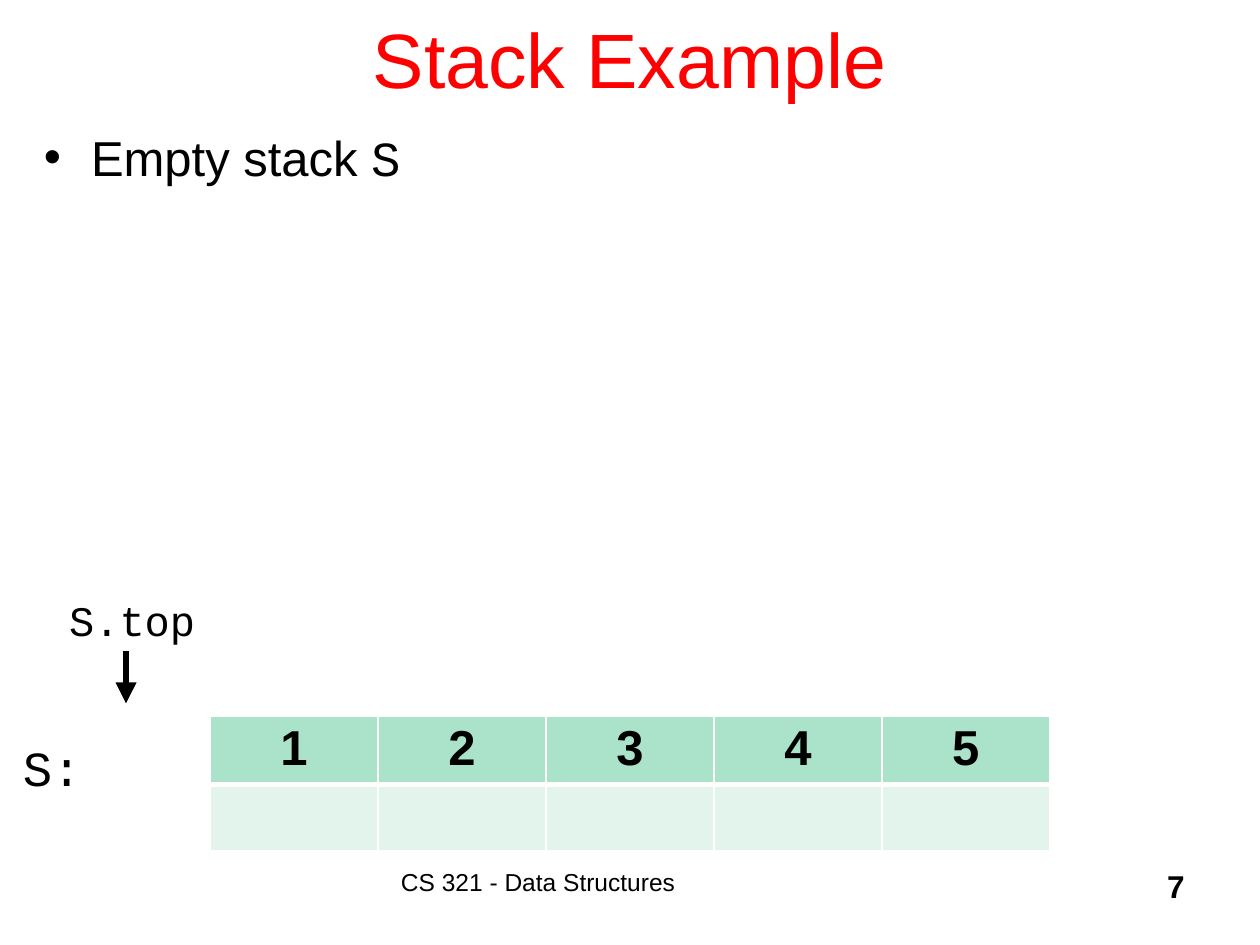
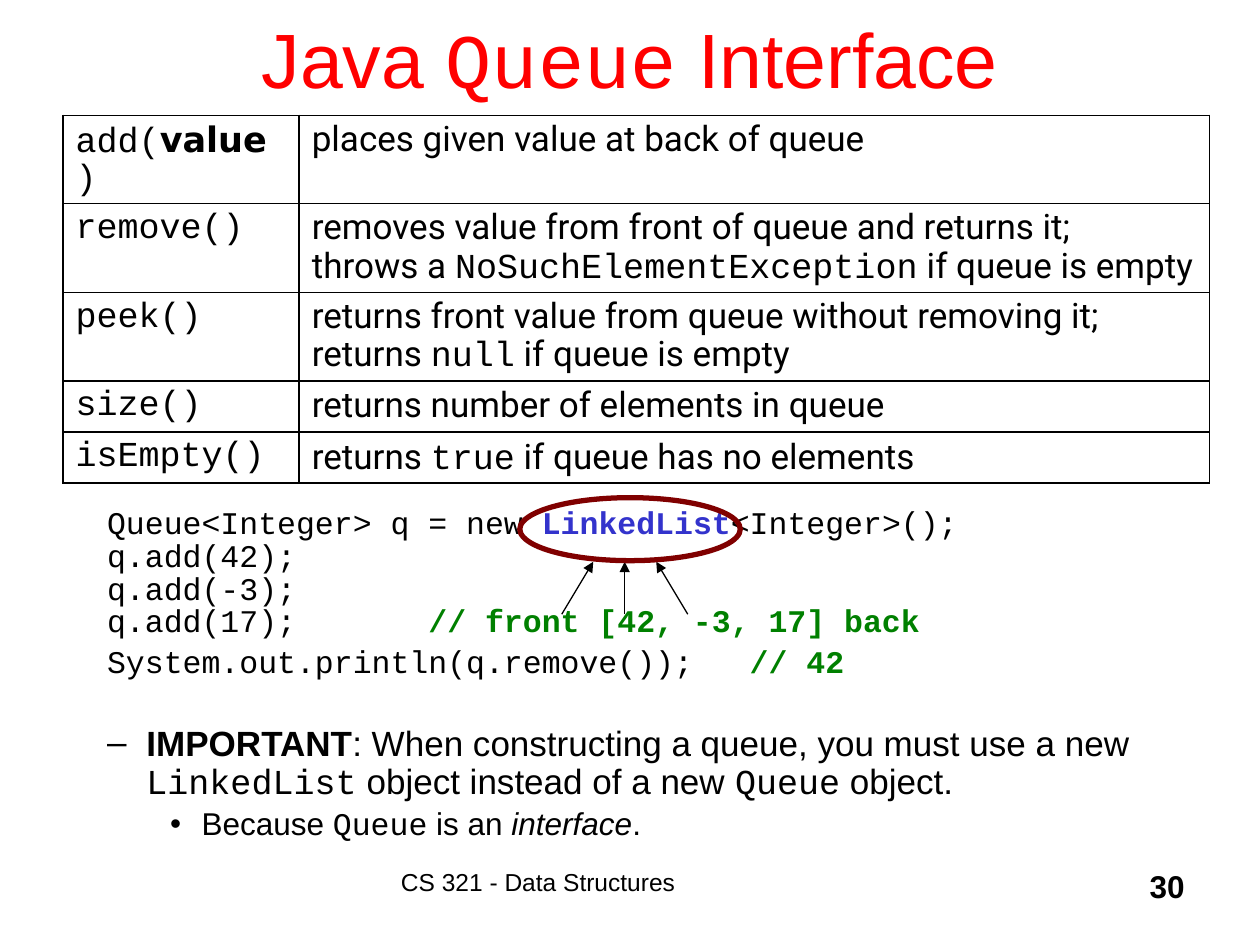
from dataclasses import dataclass

from lxml import etree
from pptx import Presentation, util as u
from pptx.dml.color import RGBColor
from pptx.enum import shapes, text
from pptx.oxml.ns import qn


@dataclass(frozen=True)
class Theme:
    title: str = "FF0000"
    ink: str = "000000"
    paper: str = "FFFFFF"
    header: str = "AAE2CA"
    cell: str = "E2F4EC"
    keyword: str = "3333CC"
    comment: str = "008000"
    ring: str = "800000"
    sans: str = "Arial"
    code: str = "Courier New"
    argument: str = "DejaVu Sans"
    prose: str = "Roboto"
    title_size: int = 44
    large: int = 28
    label: int = 24
    medium: int = 20
    small: int = 18
    footer: int = 14


theme = Theme()
deck = Presentation()
deck.slide_width, deck.slide_height = u.Inches(10), u.Inches(7.5)
UNIT = deck.slide_width / 120
LEFT, CENTER, RIGHT = text.PP_ALIGN.LEFT, text.PP_ALIGN.CENTER, text.PP_ALIGN.RIGHT


def place(page, area, insets=(1.2, 0.6), anchor=text.MSO_ANCHOR.TOP):
    box = page.shapes.add_textbox(*[round(length * UNIT) for length in area])
    frame = box.text_frame
    frame.word_wrap = True
    frame.vertical_anchor = anchor
    frame.margin_left, frame.margin_top = [round(inset * UNIT) for inset in insets]
    return frame


def write(para, spans, size, color=theme.ink, align=LEFT, spacing=None, before=0):
    para.alignment = align
    para.line_spacing = spacing
    para.space_before = u.Pt(before)
    for words, font, *style in spans:
        span = para.add_run()
        span.text = words
        span.font.name = font
        span.font.size = u.Pt(size)
        span.font.bold = "bold" in style
        span.font.italic = "italic" in style
        tint = next((item for item in style if item not in ("bold", "italic")), color)
        span.font.color.rgb = RGBColor.from_string(tint)


titles = [
    [("Stack Example", theme.sans)],
    [("Java ", theme.sans), ("Queue", theme.code), (" Interface", theme.sans)],
]
pages = []
for title, number in zip(titles, ("7", "30")):
    page = deck.slides.add_slide(deck.slide_layouts[6])
    pages.append(page)
    frame = place(page, (9, -2, 102, 15), anchor=text.MSO_ANCHOR.MIDDLE)
    write(frame.paragraphs[0], title, theme.title_size, theme.title, CENTER)
    frame = place(page, (37, 82, 46, 6))
    write(frame.paragraphs[0], [("CS 321 - Data Structures", theme.sans)], theme.footer)
    frame = place(page, (89, 82, 25, 6))
    write(frame.paragraphs[0], [(number, theme.sans, "bold")], theme.small, align=RIGHT)
stack_page, queue_page = pages

stack_labels = [
    ((5.4, 56, 15, 6), "S.top", theme.label),
    ((1, 69.6, 9, 6.8), "S:", theme.large),
]
for area, label, size in stack_labels:
    frame = place(stack_page, area)
    write(frame.paragraphs[0], [(label, theme.code)], size)

stack_lines = [
    ([("Empty stack ", theme.sans), ("S", theme.code)],
     dict(size=theme.large), ("•", 4.5, 4.5)),
]
code_style = dict(size=theme.small, spacing=0.7, before=3.6)
queue_lines = [
    ([("Queue<Integer> q = new ", theme.code),
      ("LinkedList", theme.code, "bold", theme.keyword),
      ("<Integer>();", theme.code)], dict(code_style, before=0), None),
    ([("q.add(42);", theme.code)], code_style, None),
    ([("q.add(-3);", theme.code)], code_style, None),
    ([("q.add(17);\t", theme.code),
      ("// front [42, -3, 17] back", theme.code, "bold", theme.comment)],
     code_style, 30.6),
    ([("System.out.println(q.remove());\t", theme.code),
      ("// 42", theme.code, "bold", theme.comment)],
     dict(code_style, before=8.2), 61.2),
    ([("IMPORTANT", theme.sans, "bold"),
      (": When constructing a queue, you must use a new ", theme.sans),
      ("LinkedList", theme.code), (" object instead of a new ", theme.sans),
      ("Queue", theme.code), (" object.", theme.sans)],
     dict(size=theme.medium, spacing=0.9, before=27), ("–", 3.75, 3.75)),
    ([("Because ", theme.sans), ("Queue", theme.code), (" is an ", theme.sans),
      ("interface", theme.sans, "italic"), (".", theme.sans)],
     dict(size=theme.small, spacing=0.9, before=3.6), ("•", 9, 3)),
]
bodies = [
    (stack_page, (3, 11, 114, 67), (1.2, 1.1), stack_lines),
    (queue_page, (3, 5, 114, 72), (7.2, 43.9), queue_lines),
]
for page, area, insets, lines in bodies:
    frame = place(page, area, insets)
    for index, (spans, style, lead) in enumerate(lines):
        para = frame.add_paragraph() if index else frame.paragraphs[0]
        write(para, spans, **style)
        props = para._p.get_or_add_pPr()
        if isinstance(lead, tuple):
            bullet, margin, hang = lead
            props.set("marL", str(round(margin * UNIT)))
            props.set("indent", str(round(-hang * UNIT)))
            etree.SubElement(props, qn("a:buFont"), typeface=theme.sans)
            etree.SubElement(props, qn("a:buChar"), char=bullet)
        elif lead:
            stops = etree.SubElement(props, qn("a:tabLst"))
            etree.SubElement(stops, qn("a:tab"), pos=str(round(lead * UNIT)), algn="l")

stack_cells = [
    [[[(str(slot), theme.sans, "bold")]] for slot in range(1, 6)],
    [[] for slot in range(5)],
]
queue_cells = [
    [[[("add(", theme.code), ("value", theme.argument, "bold"), (")", theme.code)]],
     [[("places given value at back of queue", theme.prose)]]],
    [[[("remove()", theme.code)]],
     [[("removes value from front of queue and returns it;", theme.prose)],
      [("throws a ", theme.prose), ("NoSuchElementException", theme.code),
       (" if queue is empty", theme.prose)]]],
    [[[("peek()", theme.code)]],
     [[("returns front value from queue without removing it;", theme.prose)],
      [("returns ", theme.prose), ("null", theme.code),
       (" if queue is empty", theme.prose)]]],
    [[[("size()", theme.code)]],
     [[("returns number of elements in queue", theme.prose)]]],
    [[[("isEmpty()", theme.code)]],
     [[("returns ", theme.prose), ("true", theme.code),
       (" if queue has no elements", theme.prose)]]],
]
tables = [
    (stack_page, (20, 68.2), [16] * 5, [6.36] * 2, stack_cells,
     dict(size=theme.large, align=CENTER), (theme.header, theme.cell),
     theme.paper, 3, 0.45),
    (queue_page, (6, 11), [22.5, 86.7], [8.3, 8.45, 8.45, 4.85, 4.85], queue_cells,
     dict(size=theme.medium, spacing=0.9), None, theme.ink, 1, 0.6),
]
for page, corner, columns, rows, cells, style, fills, rule, header_rule, inset in tables:
    area = [round(n * UNIT) for n in (*corner, sum(columns), sum(rows))]
    table = page.shapes.add_table(len(rows), len(columns), *area).table
    for column, width in zip(table.columns, columns):
        column.width = round(width * UNIT)
    for r, height in enumerate(rows):
        table.rows[r].height = round(height * UNIT)
        for c, paras in enumerate(cells[r]):
            cell = table.cell(r, c)
            cell.margin_top = cell.margin_bottom = round(inset * UNIT)
            for index, spans in enumerate(paras):
                frame = cell.text_frame
                para = frame.add_paragraph() if index else frame.paragraphs[0]
                write(para, spans, **style)
            props = cell._tc.get_or_add_tcPr()
            for side in ("lnL", "lnR", "lnT", "lnB"):
                under_header = (r, side) in ((0, "lnB"), (1, "lnT"))
                weight = u.Pt(header_rule if under_header else 1)
                border = etree.SubElement(props, qn("a:" + side), w=str(weight))
                solid = etree.SubElement(border, qn("a:solidFill"))
                etree.SubElement(solid, qn("a:srgbClr"), val=rule)
            if fills:
                cell.fill.solid()
                cell.fill.fore_color.rgb = RGBColor.from_string(fills[r])
            else:
                cell.fill.background()

arrows = [(stack_page, (12, 62, 12, 67), 4)]
arrows += [(queue_page, (59.5 + 6 * step, 58.5, 59.5 + 3 * step, 53.5), 0.75)
           for step in (-1, 0, 1)]
for page, ends, weight in arrows:
    arrow = page.shapes.add_connector(
        shapes.MSO_CONNECTOR.STRAIGHT, *[round(end * UNIT) for end in ends])
    arrow.line.color.rgb = RGBColor.from_string(theme.ink)
    arrow.line.width = u.Pt(weight)
    etree.SubElement(arrow.line._get_or_add_ln(), qn("a:tailEnd"), type="triangle")
    etree.SubElement(arrow._element.spPr, qn("a:effectLst"))

ring = queue_page.shapes.add_shape(
    shapes.MSO_SHAPE.OVAL, *[round(n * UNIT) for n in (49.5, 47.4, 21, 6)])
ring.shadow.inherit = False
ring.fill.background()
ring.line.color.rgb = RGBColor.from_string(theme.ring)
ring.line.width = u.Pt(3)

deck.save("out.pptx")
